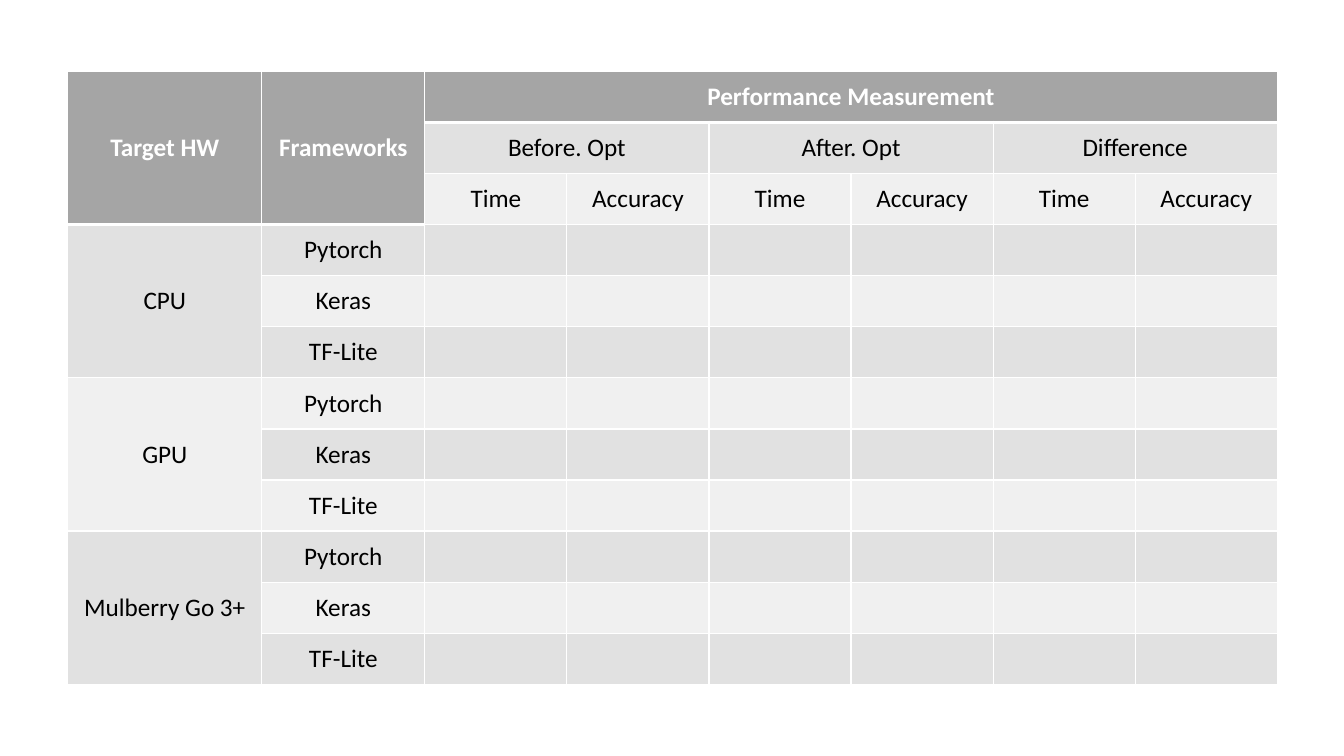
from lxml import etree
from pptx import Presentation
from pptx import util as u
from pptx.dml.color import RGBColor
from pptx.enum import text
from pptx.oxml import ns

PX_PER_INCH = 144
FONT, SIZE = "Calibri", 18
HEADER, DARK_BAND, LIGHT_BAND = "A5A5A5", "E1E1E1", "F0F0F0"
WHITE, BLACK = "FFFFFF", "000000"

TARGETS = ["CPU", "GPU", "Mulberry Go 3+"]
FRAMEWORKS = ["Pytorch", "Keras", "TF-Lite"]
PHASES = ["Before. Opt", "After. Opt", "Difference"]
METRICS = ["Time", "Accuracy"]

HEAD_ROWS = 3
LABEL_COLS = 2
COL_WIDTHS = [277, 233] + [203] * (len(PHASES) * len(METRICS))
ROW_HEIGHTS = [73] * (HEAD_ROWS + len(TARGETS) * len(FRAMEWORKS))


def px(n):
    return u.Emu(n * 914400 // PX_PER_INCH)


def rgb(value):
    return RGBColor.from_string(value)


def is_header(r, c):
    return r == 0 or (r < HEAD_ROWS and c < LABEL_COLS)


def ends_header(r, c):
    """True where the thick rule runs below the cell."""
    return r == (HEAD_ROWS - 1 if c < LABEL_COLS else 0)


def set_borders(cell, widths):
    tc_pr = cell._tc.get_or_add_tcPr()
    for i, (side, points) in enumerate(widths.items()):
        ln = etree.Element(ns.qn("a:ln" + side), w=str(u.Pt(points)))
        fill = etree.SubElement(ln, ns.qn("a:solidFill"))
        etree.SubElement(fill, ns.qn("a:srgbClr"), val=WHITE)
        tc_pr.insert(i, ln)


def style_cell(cell, r, c):
    band = DARK_BAND if r % 2 else LIGHT_BAND
    cell.fill.solid()
    cell.fill.fore_color.rgb = rgb(HEADER if is_header(r, c) else band)
    thick_below = ends_header(r, c) or (cell.is_merge_origin and is_header(r, c))
    set_borders(cell, {"L": 1, "R": 1,
                       "T": 3 if r and ends_header(r - 1, c) else 1,
                       "B": 3 if thick_below else 1})


def put_label(table, r, c, label, rows=1, cols=1):
    cell = table.cell(r, c)
    if rows * cols > 1:
        cell.merge(table.cell(r + rows - 1, c + cols - 1))
    cell.vertical_anchor = text.MSO_ANCHOR.MIDDLE
    cell.text_frame.text = label
    p = cell.text_frame.paragraphs[0]
    p.alignment = text.PP_ALIGN.CENTER
    font = p.runs[0].font
    font.name, font.size = FONT, u.Pt(SIZE)
    font.bold = is_header(r, c)
    font.color.rgb = rgb(WHITE if is_header(r, c) else BLACK)


def add_grid(s, left, top):
    frame = s.shapes.add_table(len(ROW_HEIGHTS), len(COL_WIDTHS), px(left), px(top),
                               px(sum(COL_WIDTHS)), px(sum(ROW_HEIGHTS)))
    table = frame.table
    table.first_row = table.horz_banding = False
    for col, width in zip(table.columns, COL_WIDTHS):
        col.width = px(width)
    for row, height in zip(table.rows, ROW_HEIGHTS):
        row.height = px(height)
    return table


def main():
    prs = Presentation()
    prs.slide_width, prs.slide_height = px(1920), px(1080)
    s = prs.slides.add_slide(prs.slide_layouts[6])
    table = add_grid(s, 97, 102)

    # Column headings
    put_label(table, 0, 0, "Target HW", rows=HEAD_ROWS)
    put_label(table, 0, 1, "Frameworks", rows=HEAD_ROWS)
    put_label(table, 0, LABEL_COLS, "Performance Measurement",
              cols=len(PHASES) * len(METRICS))
    for i, phase in enumerate(PHASES):
        c = LABEL_COLS + i * len(METRICS)
        put_label(table, 1, c, phase, cols=len(METRICS))
        for j, metric in enumerate(METRICS):
            put_label(table, 2, c + j, metric)

    # Row headings
    for i, target in enumerate(TARGETS):
        r = HEAD_ROWS + i * len(FRAMEWORKS)
        put_label(table, r, 0, target, rows=len(FRAMEWORKS))
        for j, framework in enumerate(FRAMEWORKS):
            put_label(table, r + j, 1, framework)

    # Fills and rules
    for r in range(len(ROW_HEIGHTS)):
        for c in range(len(COL_WIDTHS)):
            style_cell(table.cell(r, c), r, c)

    prs.save("out.pptx")


if __name__ == "__main__":
    main()
